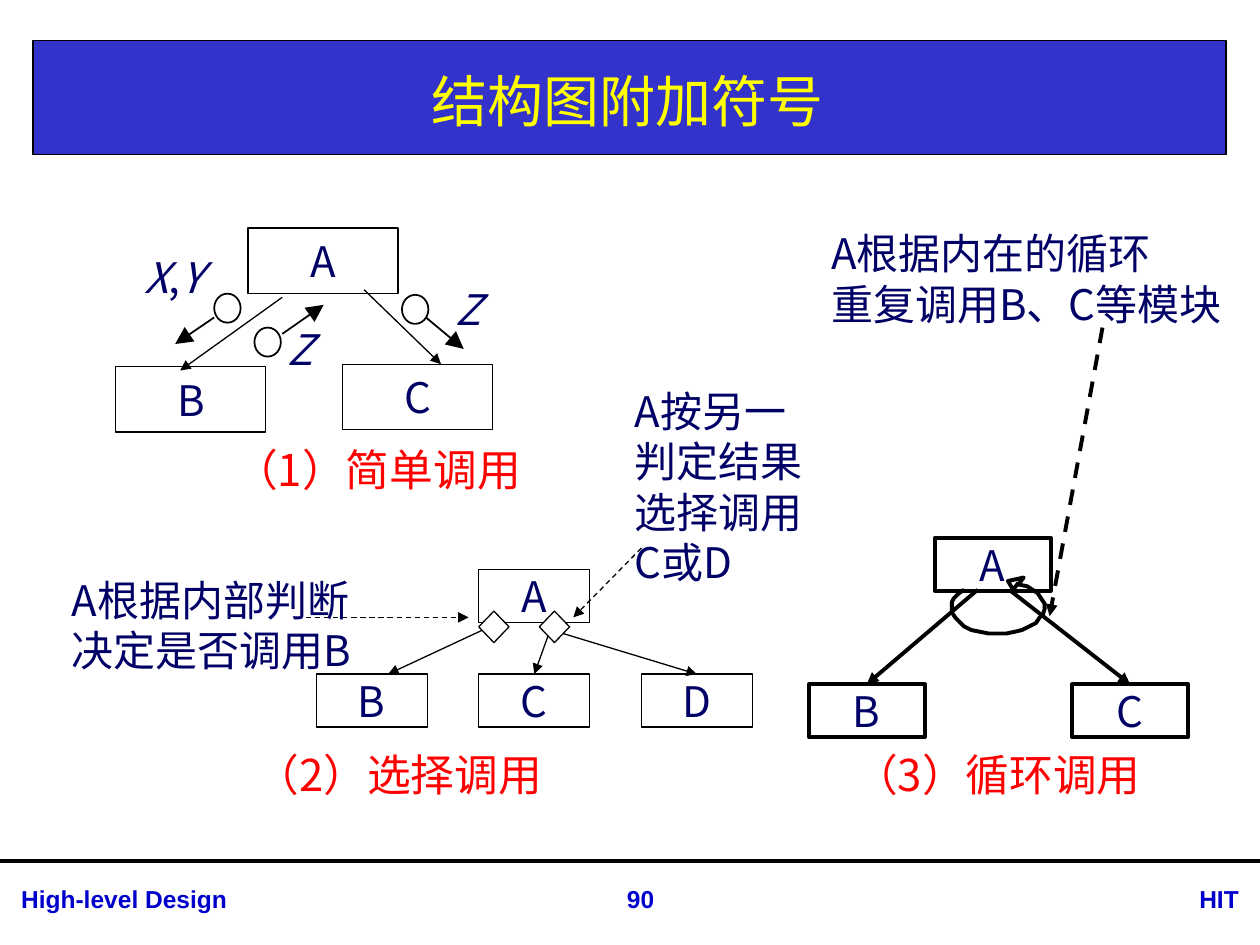
"""Build a slide on the extra symbols used in structure charts."""

import math
from dataclasses import dataclass

import lxml.etree
import pptx
import pptx.enum.dml
import pptx.enum.shapes
import pptx.enum.text
import pptx.oxml.ns
import pptx.util
from pptx.dml.color import RGBColor

COLORS = {
    "band": "3333CC", "title": "FFFF00", "footer": "0000CC", "text": "000066",
    "caption": "FF0000", "line": "000000", "background": "FFFFFF",
}
CJK_FONT = "Noto Sans CJK SC"
SHAPES = pptx.enum.shapes.MSO_SHAPE
ALIGN = pptx.enum.text.PP_ALIGN
ANCHOR = pptx.enum.text.MSO_ANCHOR
Pt = pptx.util.Pt


@dataclass
class Module:
    """A named module box."""
    name: str
    left: float
    top: float


@dataclass
class Arrow:
    """A call, data or comment arrow, joined to a module's top if one is named."""
    start: tuple[float, float]
    end: tuple[float, float]
    width: float = 0.75
    dashed: bool = False
    head: str = "med"
    target: str = ""


@dataclass
class Label:
    """A text block with one paragraph per line."""
    lines: list[str]
    left: float
    top: float
    width: float
    height: float


def color(name: str) -> RGBColor:
    """Look up a named colour."""
    return RGBColor.from_string(COLORS[name])


def format_paragraph(paragraph, size: float, color_name: str, align=ALIGN.LEFT,
                     font_name: str = CJK_FONT, bold: bool = False) -> None:
    """Set alignment and font for Latin and East Asian text."""
    paragraph.alignment = align
    font = paragraph.font
    font.size, font.name, font.bold = Pt(size), font_name, bold
    font.color.rgb = color(color_name)
    properties = paragraph._p.pPr.find(pptx.oxml.ns.qn("a:defRPr"))
    east_asian = lxml.etree.SubElement(properties, pptx.oxml.ns.qn("a:ea"))
    east_asian.set("typeface", font_name)


def add_symbol(slide, kind, left: float, top: float, width: float, height: float,
               line_width: float = 0.75, fill: str = ""):
    """Draw an outlined preset shape."""
    shape = slide.shapes.add_shape(kind, Pt(left), Pt(top), Pt(width), Pt(height))
    style_outline(shape, line_width, fill)
    return shape


def style_outline(shape, line_width: float, fill: str = "") -> None:
    """Give a shape a black outline and an optional fill."""
    shape.shadow.inherit = False
    if fill:
        shape.fill.solid()
        shape.fill.fore_color.rgb = color(fill)
    else:
        shape.fill.background()
    shape.line.color.rgb = color("line")
    shape.line.width = Pt(line_width)


def add_modules(slide, modules: list[Module], width: float, height: float,
                line_width: float = 0.75) -> dict:
    """Draw equally sized module boxes and return them by name."""
    boxes = {}
    for module in modules:
        box = add_symbol(slide, SHAPES.RECTANGLE, module.left, module.top,
                         width, height, line_width)
        frame = box.text_frame
        frame.margin_top = frame.margin_bottom = 0
        frame.vertical_anchor = ANCHOR.MIDDLE
        frame.text = module.name
        format_paragraph(frame.paragraphs[0], 24, "text", ALIGN.CENTER)
        boxes[module.name] = box
    return boxes


def add_line(slide, start: tuple[float, float], end: tuple[float, float], width: float):
    """Draw a plain straight connector."""
    connector = slide.shapes.add_connector(
        pptx.enum.shapes.MSO_CONNECTOR.STRAIGHT, *(Pt(value) for value in start + end))
    connector.line.color.rgb = color("line")
    connector.line.width = Pt(width)
    lxml.etree.SubElement(connector._element.spPr, pptx.oxml.ns.qn("a:effectLst"))
    return connector


def add_arrows(slide, arrows: list[Arrow], boxes: dict) -> None:
    """Draw arrows with triangular heads."""
    for arrow in arrows:
        connector = add_line(slide, arrow.start, arrow.end, arrow.width)
        if arrow.dashed:
            connector.line.dash_style = pptx.enum.dml.MSO_LINE.DASH
        tail = lxml.etree.SubElement(
            connector.line._get_or_add_ln(), pptx.oxml.ns.qn("a:tailEnd"))
        for key, value in (("type", "triangle"), ("w", arrow.head), ("len", arrow.head)):
            tail.set(key, value)
        if arrow.target:
            connector.end_connect(boxes[arrow.target], 0)


def add_label(slide, label: Label, size: float = 24, color_name: str = "text",
              wrap: bool = True, **font_options):
    """Write a text block and return its frame."""
    frame = slide.shapes.add_textbox(Pt(label.left), Pt(label.top), Pt(label.width),
                                     Pt(label.height)).text_frame
    frame.word_wrap = wrap
    frame.text = "\n".join(label.lines)
    for paragraph in frame.paragraphs:
        format_paragraph(paragraph, size, color_name, **font_options)
    return frame


def add_caption(slide, text: str, left: float, top: float) -> None:
    """Write a red caption with a hanging indent."""
    frame = add_label(slide, Label([text], left, top, 235.4, 34.6), 25, "caption")
    paragraph = frame.paragraphs[0]
    paragraph.line_spacing = 0.9
    paragraph._p.pPr.set("marL", str(Pt(77.8)))
    paragraph._p.pPr.set("indent", str(Pt(-23)))


def add_data_name(slide, names: str, left: float, top: float, width: float) -> None:
    """Write data names in italics, with upright commas."""
    frame = add_label(slide, Label([""], left, top, width, 36.7), wrap=False)
    for character in names:
        run = frame.paragraphs[0].add_run()
        run.text = character
        run.font.italic = character != ","


def add_loop(slide) -> None:
    """Draw the loop symbol: an open ellipse ending in an arrowhead."""
    arc = [(570.2 + 26.6 * math.cos(math.radians(angle)),
            347 + 15.1 * math.sin(math.radians(angle))) for angle in range(223, -64, -11)]
    head = [(585.4, 329.8), (576, 331.9), (578.9, 337), (582.5, 333.4)]
    builder = slide.shapes.build_freeform(*arc[0], scale=Pt(1))
    builder.add_line_segments(arc[1:] + head, close=False)
    style_outline(builder.convert_to_shape(), 2.25)


def add_frame(slide) -> None:
    """Set the title on its band and add the footer."""
    band = add_symbol(slide, SHAPES.RECTANGLE, 18.9, 23, 681.8, 65.5, fill="band")
    slide.shapes._spTree.insert(2, band._element)
    title = slide.shapes.title
    title.left, title.top, title.width, title.height = Pt(18.9), Pt(26), Pt(680), Pt(62.6)
    title.text_frame.text = "结构图附加符号"
    title.text_frame.vertical_anchor = ANCHOR.MIDDLE
    format_paragraph(title.text_frame.paragraphs[0], 32, "title", ALIGN.CENTER)
    add_line(slide, (0, 491.8), (720, 491.8), 2.25)
    for text, left, width, align in (("High-level Design", 5, 277.2, ALIGN.LEFT),
                                     ("90", 329, 74.2, ALIGN.CENTER),
                                     ("HIT", 640.8, 74.2, ALIGN.RIGHT)):
        add_label(slide, Label([text], left, 501.8, width, 24.5), 14, "footer",
                  align=align, font_name="Arial", bold=True)


def add_simple_call(slide) -> None:
    """Draw the simple call with its data symbols."""
    boxes = add_modules(slide, [Module("A", 141.8, 130.3), Module("B", 66.2, 209.5),
                                Module("C", 195.8, 208.1)], 85.7, 37.4)
    add_arrows(slide, [
        Arrow((161.3, 169.9), (103, 211.7)), Arrow((208.1, 165.6), (252, 208.1)),
        Arrow((122.4, 181.4), (100.1, 196.6), 1, head="lg"),
        Arrow((161.3, 190.8), (185, 174.2), 1, head="lg"),
        Arrow((243.4, 181.4), (265, 199.4), 1, head="lg")], boxes)
    for left, top in ((122.4, 167.8), (145.4, 187.2), (229.7, 168.5)):
        add_symbol(slide, SHAPES.OVAL, left, top, 15.1, 16.6, 1)
    for names, left, top, width in (("X,Y", 75.6, 140.4, 50.4), ("Z", 253.4, 158.4, 25.9),
                                    ("Z", 157, 181.4, 25.9)):
        add_data_name(slide, names, left, top, width)
    add_caption(slide, "（1）简单调用", 72, 252.7)


def add_selective_call(slide) -> None:
    """Draw the selective call with its decision diamonds."""
    children = [Module(name, 180.7 + 92.9 * column, 385.2) for column, name in enumerate("BCD")]
    boxes = add_modules(slide, [Module("A", 273.6, 325.4)] + children, 63.4, 30.2)
    add_arrows(slide, [
        Arrow((285.1, 355.7), (221.8, 385.2)),
        Arrow((313.9, 361.4), (302.4, 385.2), target="C"),
        Arrow((319.7, 361.4), (395.3, 385.2), target="D"),
        Arrow((175, 352.8), (267.8, 352.8), dashed=True),
        Arrow((366.5, 313.2), (327.6, 352.8), dashed=True)], boxes)
    for left in (273.6, 308.2):
        add_symbol(slide, SHAPES.DIAMOND, left, 349.2, 17.3, 18, fill="background")
    add_label(slide, Label(["A根据内部判断", "决定是否调用B"], 33.8, 324.7, 180, 65.5))
    add_label(slide, Label(["A按另一", "判定结果", "选择调用", "C或D"], 355.7, 216.7, 111.6, 123.1))
    add_caption(slide, "（2）选择调用", 84.2, 427)


def add_loop_call(slide) -> None:
    """Draw the repeated call with its loop symbol."""
    boxes = add_modules(slide, [Module("A", 534.2, 307.4), Module("B", 462.2, 391),
                                Module("C", 612.7, 391)], 66.2, 30.2, 2.25)
    add_arrows(slide, [
        Arrow((558.7, 337), (498.2, 391), 2.25, target="B"),
        Arrow((576.7, 337), (642.2, 391), 2.25, target="C"),
        Arrow((630, 187.2), (599.8, 352.1), 2.25, dashed=True)], boxes)
    add_loop(slide)
    add_label(slide, Label(["A根据内在的循环", "重复调用B、C等模块"], 468, 126.7, 241.9, 65.5))
    add_caption(slide, "（3）循环调用", 426.2, 427)


def main() -> None:
    """Build and save the presentation."""
    presentation = pptx.Presentation()
    presentation.slide_width, presentation.slide_height = Pt(720), Pt(540)
    slide = presentation.slides.add_slide(presentation.slide_layouts[5])
    add_frame(slide)
    add_simple_call(slide)
    add_selective_call(slide)
    add_loop_call(slide)
    presentation.save("out.pptx")


if __name__ == "__main__":
    main()
